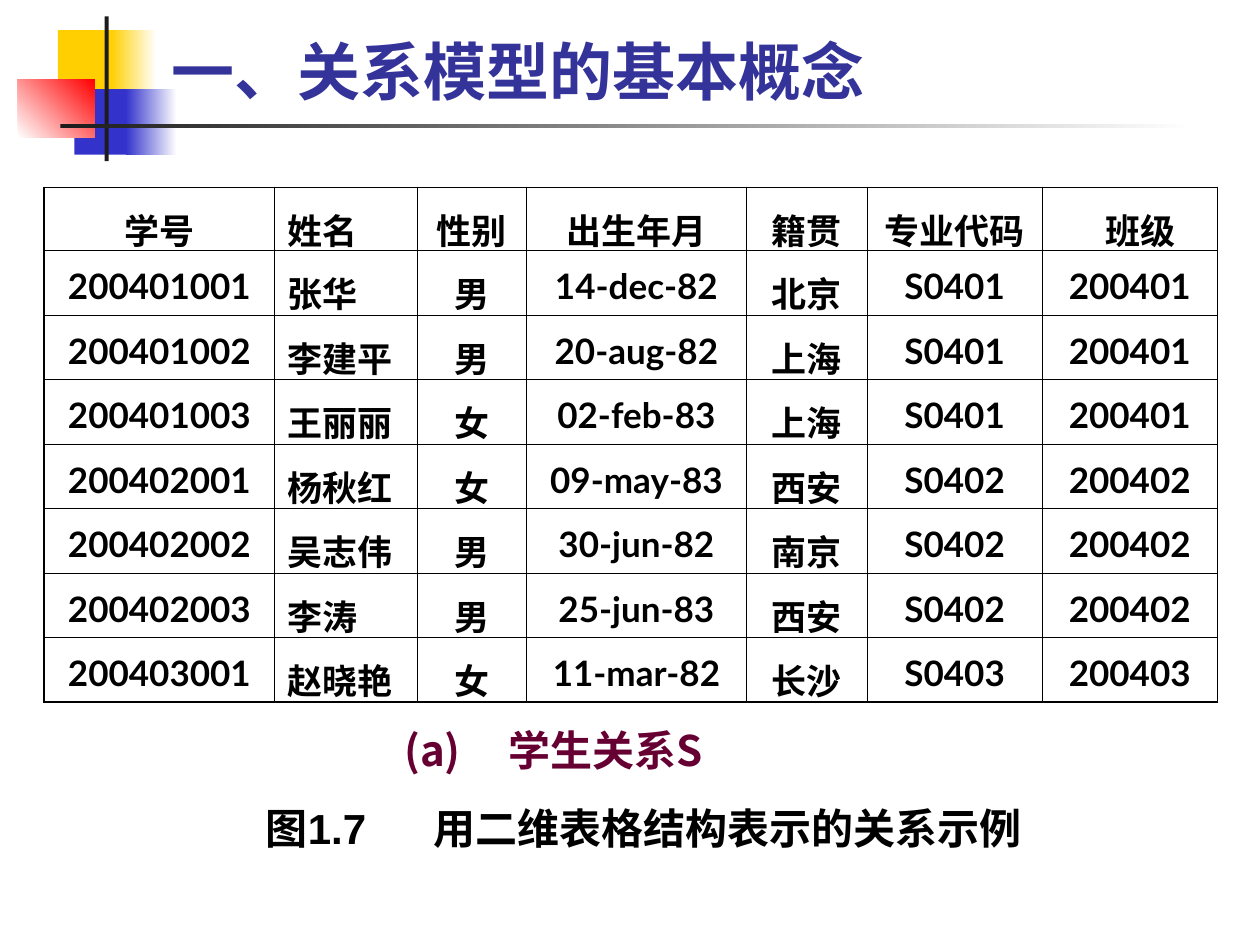
from dataclasses import dataclass

import pptx
import pptx.dml.color
import pptx.enum.shapes
import pptx.enum.text
import pptx.oxml.ns
import pptx.util
from lxml import etree
from pptx.util import Cm

CJK_FONT = "Noto Sans CJK SC"
ALIGN = pptx.enum.text.PP_ALIGN
ANCHOR = pptx.enum.text.MSO_ANCHOR
WHITE, BLACK, CHARCOAL = "FFFFFF", "000000", "1C1C1C"
YELLOW, BLUE, RED = "FFCF01", "3333CC", "FF0000"
INDIGO, PLUM = "333399", "660033"
THIN, THICK = 0.45, 1.08


@dataclass
class Block:
    """A decorative rectangle in centimetres; a second colour makes a gradient."""
    left: float
    top: float
    width: float
    height: float
    color: str
    end_color: str = ""
    angle: float = 0


@dataclass
class Column:
    width: float
    align: ALIGN = ALIGN.CENTER


BLOCKS = [
    Block(1.17, 0.61, 1.22, 1.32, YELLOW),
    Block(2.24, 0.61, 0.91, 1.32, YELLOW, WHITE),
    Block(1.5, 1.8, 1.17, 1.32, BLUE),
    Block(2.54, 1.8, 1.02, 1.32, BLUE, WHITE),
    Block(0.36, 1.6, 1.55, 1.17, WHITE, RED, 45),
    Block(2.11, 0.33, 0.08, 2.92, CHARCOAL),
    Block(1.22, 2.51, 22.86, 0.08, CHARCOAL, WHITE),
]

COLUMNS = [
    Column(4.65), Column(2.87, ALIGN.LEFT), Column(2.21), Column(4.42),
    Column(2.44), Column(3.53), Column(3.53),
]
HEADER_HEIGHT, ROW_HEIGHT = 1.27, 1.3

STUDENTS = [
    ("学号", "姓名", "性别", "出生年月", "籍贯", "专业代码", "班级"),
    ("200401001", "张华", "男", "14-dec-82", "北京", "S0401", "200401"),
    ("200401002", "李建平", "男", "20-aug-82", "上海", "S0401", "200401"),
    ("200401003", "王丽丽", "女", "02-feb-83", "上海", "S0401", "200401"),
    ("200402001", "杨秋红", "女", "09-may-83", "西安", "S0402", "200402"),
    ("200402002", "吴志伟", "男", "30-jun-82", "南京", "S0402", "200402"),
    ("200402003", "李涛", "男", "25-jun-83", "西安", "S0402", "200402"),
    ("200403001", "赵晓艳", "女", "11-mar-82", "长沙", "S0403", "200403"),
]


def rgb(value: str) -> pptx.dml.color.RGBColor:
    return pptx.dml.color.RGBColor.from_string(value)


def add_child(parent, tag: str, **attributes: str):
    return etree.SubElement(parent, pptx.oxml.ns.qn(tag), attributes)


def write_text(text_frame, text: str, *, size: float, font: str = "Lato",
               color: str = BLACK, align: ALIGN = ALIGN.LEFT,
               line_spacing: float = 1.0, tab: float = 0) -> None:
    """Write one bold paragraph, with an optional tab stop in centimetres."""
    paragraph = text_frame.paragraphs[0]
    paragraph.alignment = align
    paragraph.line_spacing = line_spacing
    if tab:
        tab_list = add_child(paragraph._p.get_or_add_pPr(), "a:tabLst")
        add_child(tab_list, "a:tab", pos=str(int(Cm(tab))), algn="l")
    run = paragraph.add_run()
    run.text = text
    run.font.size = pptx.util.Pt(size)
    run.font.bold = True
    run.font.name = font
    run.font.color.rgb = rgb(color)
    add_child(run._r.get_or_add_rPr(), "a:ea", typeface=CJK_FONT)


def add_text(slide, text: str, left: float, top: float, width: float,
             height: float, *, anchor: ANCHOR = ANCHOR.TOP, **text_format) -> None:
    box = slide.shapes.add_textbox(Cm(left), Cm(top), Cm(width), Cm(height))
    box.text_frame.word_wrap = True
    box.text_frame.vertical_anchor = anchor
    write_text(box.text_frame, text, **text_format)


def add_block(slide, block: Block) -> None:
    shape = slide.shapes.add_shape(
        pptx.enum.shapes.MSO_SHAPE.RECTANGLE,
        Cm(block.left), Cm(block.top), Cm(block.width), Cm(block.height))
    shape.shadow.inherit = False
    shape.line.fill.background()
    if not block.end_color:
        shape.fill.solid()
        shape.fill.fore_color.rgb = rgb(block.color)
        return
    shape.fill.gradient()
    shape.fill.gradient_angle = block.angle
    stops = shape.fill.gradient_stops
    for stop, color, position in zip(stops, (block.color, block.end_color), (0, 1)):
        stop.color.rgb = rgb(color)
        stop.position = position


def set_borders(cell, **widths: float) -> None:
    """Draw black borders; keys L, R, T, B must come in that order."""
    properties = cell._tc.get_or_add_tcPr()
    for side, width in widths.items():
        line = add_child(properties, f"a:ln{side}", w=str(int(pptx.util.Pt(width))))
        add_child(add_child(line, "a:solidFill"), "a:srgbClr", val=BLACK)


def add_student_table(slide, left: float, top: float) -> None:
    last_row, last_column = len(STUDENTS) - 1, len(COLUMNS) - 1
    width = sum(column.width for column in COLUMNS)
    height = HEADER_HEIGHT + last_row * ROW_HEIGHT
    table = slide.shapes.add_table(
        len(STUDENTS), len(COLUMNS), Cm(left), Cm(top), Cm(width), Cm(height)).table
    table.first_row = table.horz_banding = False
    for table_column, column in zip(table.columns, COLUMNS):
        table_column.width = Cm(column.width)
    for row, values in enumerate(STUDENTS):
        table.rows[row].height = Cm(ROW_HEIGHT if row else HEADER_HEIGHT)
        for index, value in enumerate(values):
            cell = table.cell(row, index)
            set_borders(cell,
                        L=THIN if index else THICK,
                        R=THICK if index == last_column else THIN,
                        T=THIN if row else THICK,
                        B=THICK if row == last_row else THIN)
            cell.fill.background()
            write_text(cell.text_frame, value, size=20,
                       align=COLUMNS[index].align, line_spacing=1.2)
    table.cell(0, last_column).margin_left = Cm(0.7)


def main() -> None:
    presentation = pptx.Presentation()
    presentation.slide_width, presentation.slide_height = Cm(25.4), Cm(19.05)
    slide = presentation.slides.add_slide(presentation.slide_layouts[6])
    for block in BLOCKS:
        add_block(slide, block)
    add_text(slide, "一、关系模型的基本概念", 3.2, 0.58, 21.64, 1.73,
             anchor=ANCHOR.BOTTOM, size=36, color=INDIGO)
    add_student_table(slide, 0.89, 3.78)
    add_text(slide, "(a)\t学生关系S", 7.9, 14.48, 11, 1.45,
             size=24, font=CJK_FONT, color=PLUM, tab=2.1)
    add_text(slide, "图1.7\t用二维表格结构表示的关系示例", 5.11, 16.05, 17.15, 1.27,
             size=24, font="Arial", tab=3.38)
    presentation.save("out.pptx")


if __name__ == "__main__":
    main()
